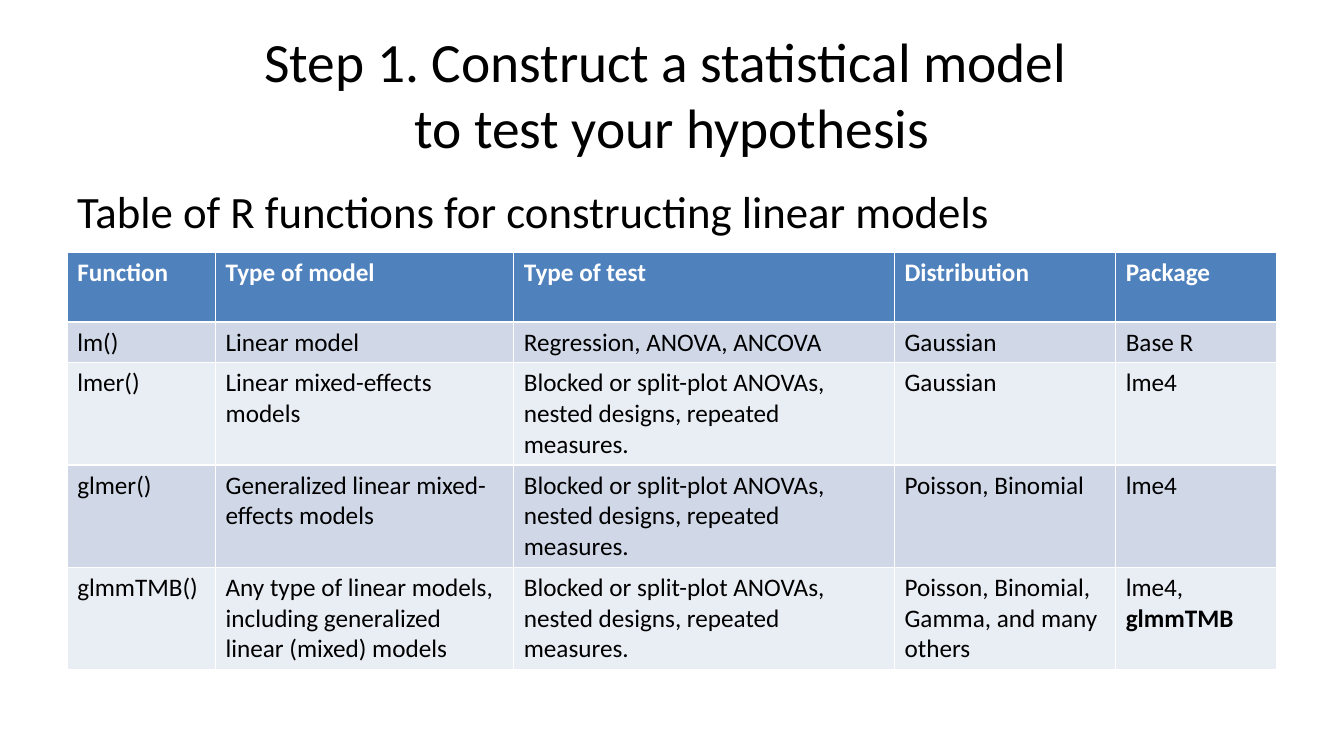
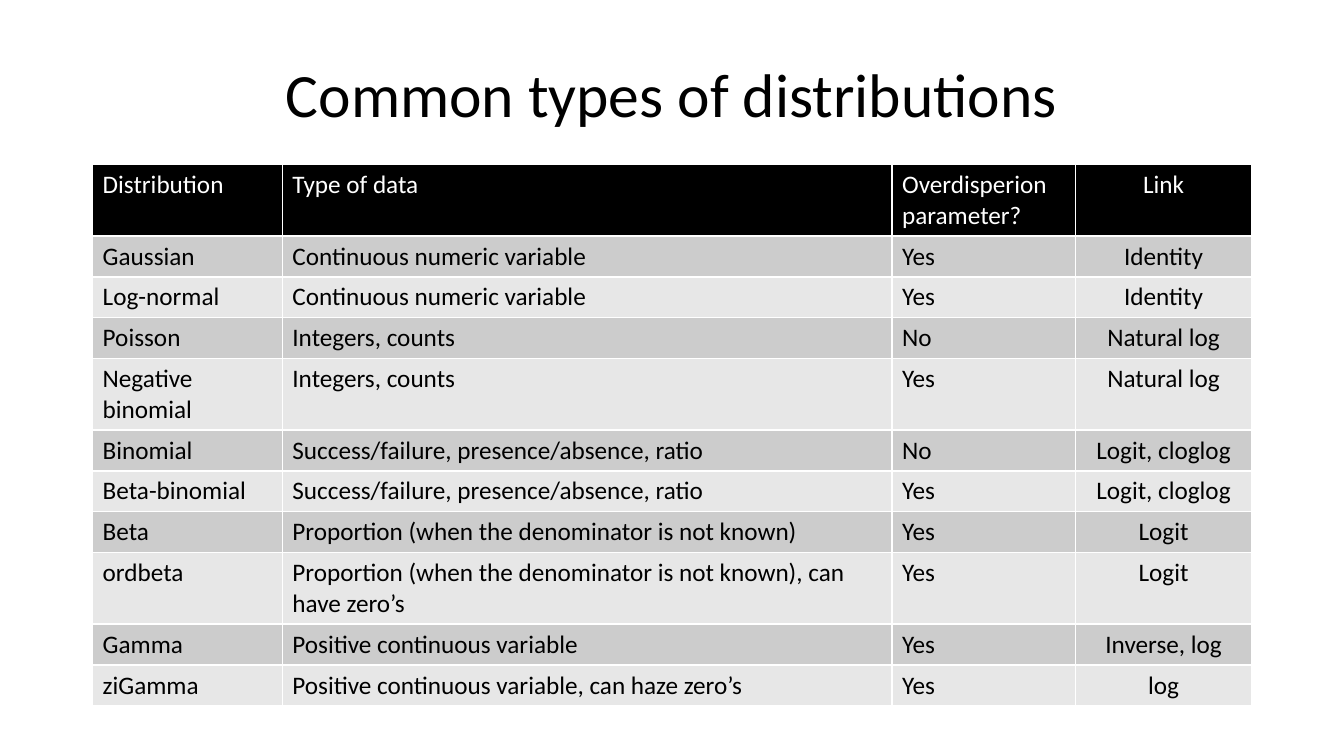
import pptx
import pptx.dml.color
import pptx.enum.text
import pptx.util

Pt = pptx.util.Pt
RGBColor = pptx.dml.color.RGBColor
CENTER = pptx.enum.text.PP_ALIGN.CENTER
LEFT = pptx.enum.text.PP_ALIGN.LEFT
MIDDLE = pptx.enum.text.MSO_ANCHOR.MIDDLE
TOP = pptx.enum.text.MSO_ANCHOR.TOP

FONT = "Calibri"
BLACK = RGBColor(0x00, 0x00, 0x00)
WHITE = RGBColor(0xFF, 0xFF, 0xFF)
BLUE = RGBColor(0x4F, 0x81, 0xBD)
BLUE_BANDS = (RGBColor(0xD0, 0xD8, 0xE8), RGBColor(0xE9, 0xED, 0xF4))
GRAY_BANDS = (RGBColor(0xCC, 0xCC, 0xCC), RGBColor(0xE7, 0xE7, 0xE7))

MARGIN = 48
CONTENT_WIDTH = 864
CELL_SIZE = 18
ROW_HEIGHT = 29.2


def add_text(slide, text, top, height, size, alignment=CENTER, anchor=MIDDLE):
    """Add a text box across the content width; the defaults suit a title."""
    box = slide.shapes.add_textbox(Pt(MARGIN), Pt(top), Pt(CONTENT_WIDTH), Pt(height))
    frame = box.text_frame
    frame.word_wrap = True
    frame.vertical_anchor = anchor
    frame.text = text
    paragraph = frame.paragraphs[0]
    paragraph.alignment = alignment
    for run in paragraph.runs:
        run.font.name = FONT
        run.font.size = Pt(size)
        run.font.color.rgb = BLACK


def add_table(slide, rows, left, top, widths, heights, header_fill, bands,
              header_bold=False, centered_column=None):
    """Add a table with a header row and alternating row fills."""
    table = slide.shapes.add_table(
        len(rows), len(widths), Pt(left), Pt(top), Pt(sum(widths)), Pt(sum(heights))
    ).table
    for column, width in zip(table.columns, widths):
        column.width = Pt(width)
    for row_index, (values, height) in enumerate(zip(rows, heights)):
        is_header = row_index == 0
        table.rows[row_index].height = Pt(height)
        for column_index, value in enumerate(values):
            cell = table.cell(row_index, column_index)
            cell.fill.solid()
            cell.fill.fore_color.rgb = header_fill if is_header else bands[(row_index - 1) % 2]
            cell.text_frame.text = value
            paragraph = cell.text_frame.paragraphs[0]
            paragraph.alignment = CENTER if column_index == centered_column else LEFT
            font = paragraph.runs[0].font
            font.name = FONT
            font.size = Pt(CELL_SIZE)
            font.bold = is_header and header_bold
            font.color.rgb = WHITE if is_header else BLACK
    return table


presentation = pptx.Presentation()
presentation.slide_width = Pt(960)
presentation.slide_height = Pt(540)
blank_layout = presentation.slide_layouts[6]

# Slide 1: R functions
slide = presentation.slides.add_slide(blank_layout)
add_text(slide, "Step 1. Construct a statistical model \vto test your hypothesis", 21.6, 90, 39.6)
add_text(slide, "Table of R functions for constructing linear models", 128, 48, 32, LEFT, TOP)

mixed_tests = "Blocked or split-plot ANOVAs, nested designs, repeated measures."
function_rows = [
    ("Function", "Type of model", "Type of test", "Distribution", "Package"),
    ("lm()", "Linear model", "Regression, ANOVA, ANCOVA", "Gaussian", "Base R"),
    ("lmer()", "Linear mixed-effects models", mixed_tests, "Gaussian", "lme4"),
    ("glmer()", "Generalized linear mixed-effects models", mixed_tests, "Poisson, Binomial", "lme4"),
    ("glmmTMB()", "Any type of linear models, including generalized linear (mixed) models",
     mixed_tests, "Poisson, Binomial, Gamma, and many others", "lme4, "),
]
function_table = add_table(
    slide, function_rows, MARGIN, 180, (106, 213, 272, 158, 115),
    (50, ROW_HEIGHT, 73, 73, 73), BLUE, BLUE_BANDS, header_bold=True)
package_run = function_table.cell(4, 4).text_frame.paragraphs[0].add_run()
package_run.text = "glmmTMB"
package_run.font.name = FONT
package_run.font.size = Pt(CELL_SIZE)
package_run.font.bold = True
package_run.font.color.rgb = BLACK

# Slide 2: distributions
slide = presentation.slides.add_slide(blank_layout)
add_text(slide, "Common types of distributions", 21.6, 90, 44)

distribution_rows = [
    ("Distribution", "Type of data", "Overdisperion parameter?", "Link"),
    ("Gaussian", "Continuous numeric variable", "Yes", "Identity"),
    ("Log-normal", "Continuous numeric variable", "Yes", "Identity"),
    ("Poisson", "Integers, counts", "No", "Natural log"),
    ("Negative binomial", "Integers, counts", "Yes", "Natural log"),
    ("Binomial", "Success/failure, presence/absence, ratio", "No", "Logit, cloglog"),
    ("Beta-binomial", "Success/failure, presence/absence, ratio", "Yes", "Logit, cloglog"),
    ("Beta", "Proportion (when the denominator is not known)", "Yes", "Logit"),
    ("ordbeta", "Proportion (when the denominator is not known), can have zero’s", "Yes", "Logit"),
    ("Gamma", "Positive continuous variable", "Yes", "Inverse, log"),
    ("ziGamma", "Positive continuous variable, can haze zero’s", "Yes", "log"),
]
two_line_rows = (0, 4, 8)
distribution_heights = [
    51 if index in two_line_rows else ROW_HEIGHT for index in range(len(distribution_rows))
]
add_table(slide, distribution_rows, 66.2, 117.6, (135.5, 435.5, 131, 126),
          distribution_heights, BLACK, GRAY_BANDS, centered_column=3)

presentation.save("out.pptx")
